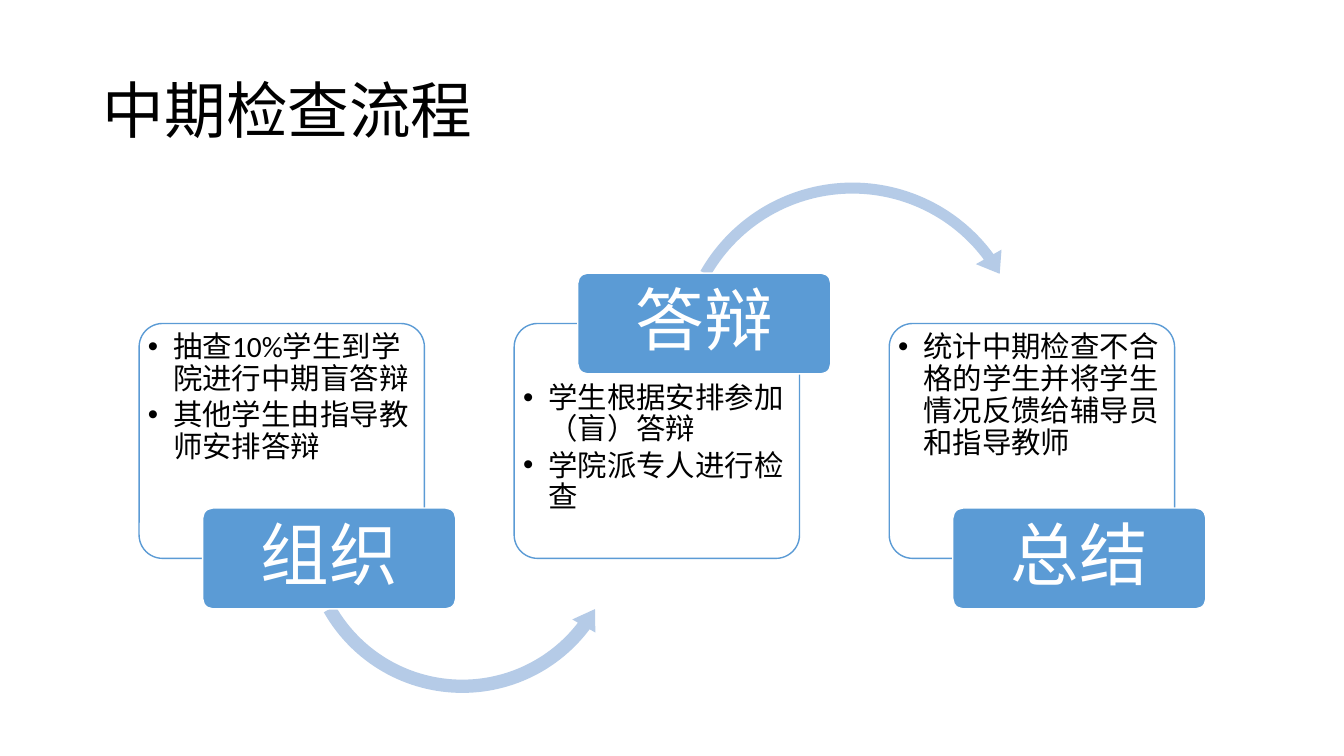
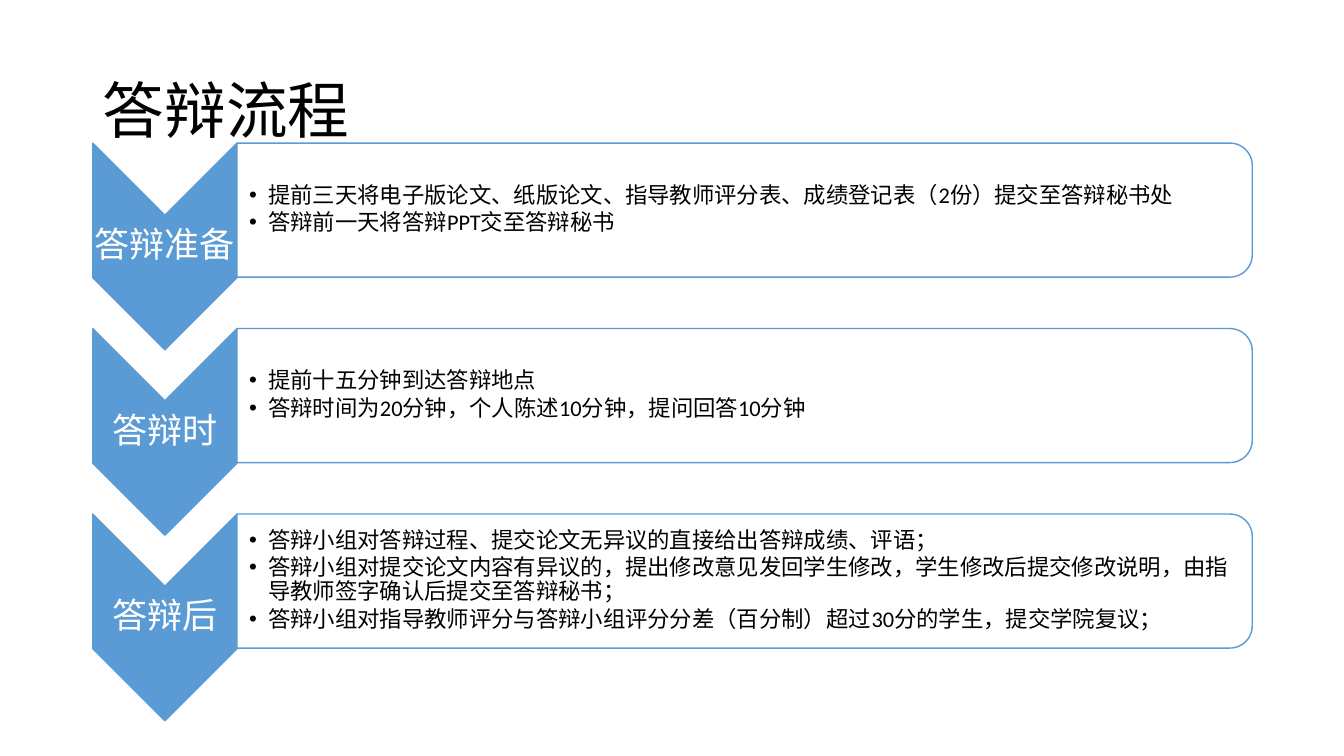
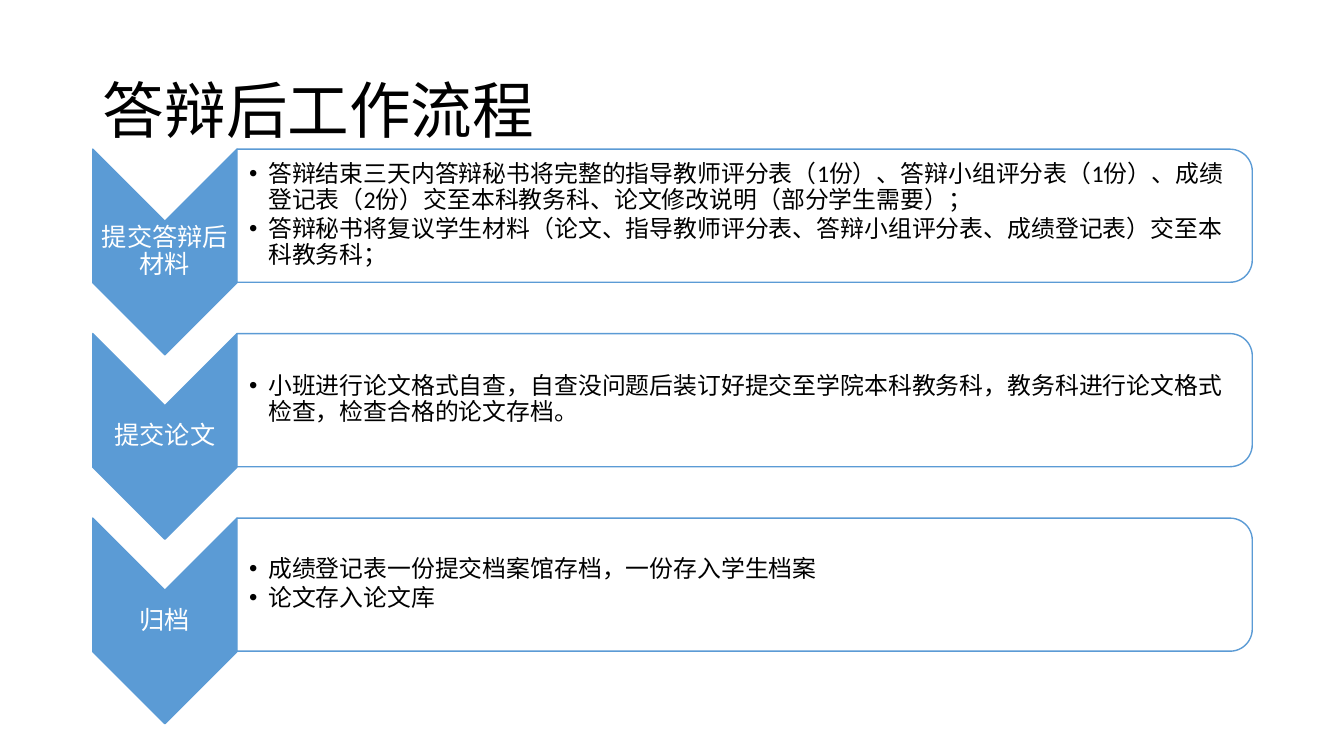
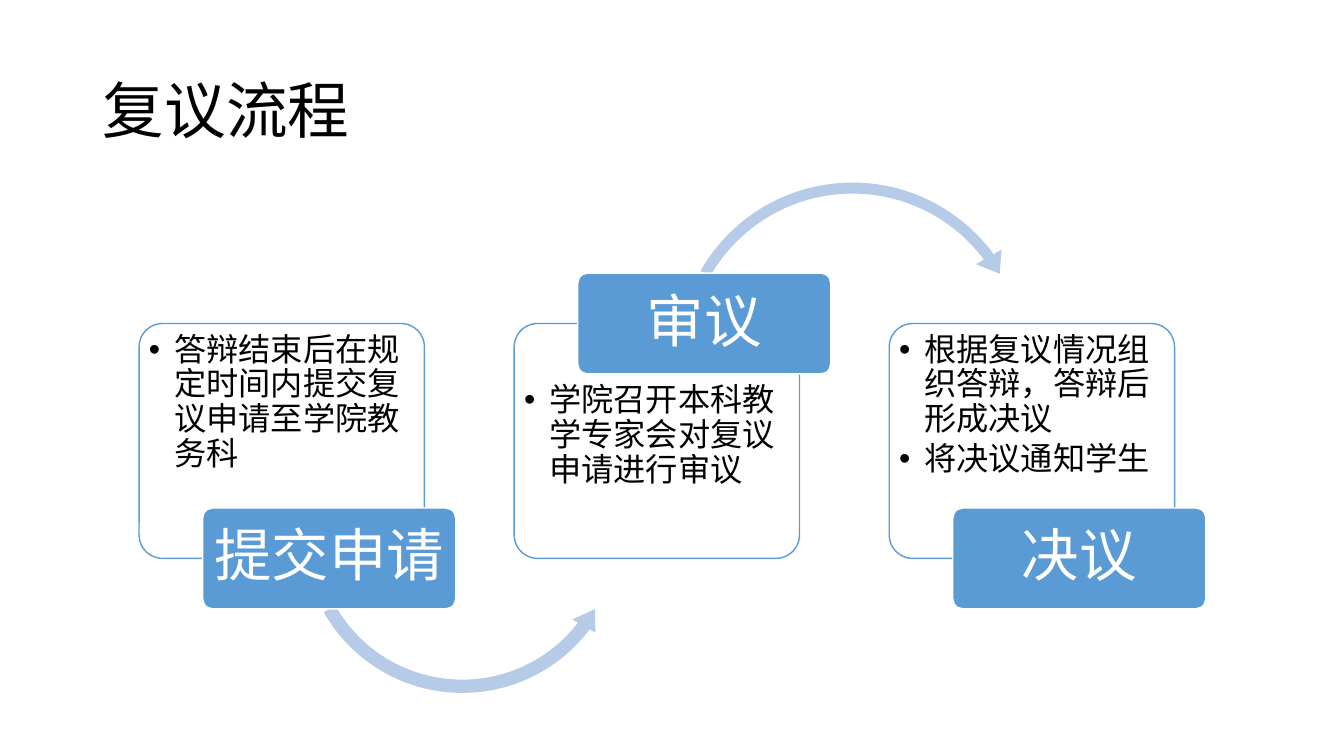
from dataclasses import dataclass

from lxml import etree
from pptx import Presentation
from pptx.dml.color import RGBColor
from pptx.enum import lang, shapes, text
from pptx.oxml.ns import qn
from pptx.presentation import Presentation as Deck
from pptx.shapes.autoshape import Shape
from pptx.slide import Slide, SlideLayout
from pptx.text.text import TextFrame, _Paragraph as Paragraph
from pptx.util import Inches, Pt


@dataclass(frozen=True)
class Theme:
    font: str = "Calibri"
    ink: RGBColor = RGBColor(0, 0, 0)
    paper: RGBColor = RGBColor(255, 255, 255)
    accent: RGBColor = RGBColor(0x5B, 0x9B, 0xD5)
    arrow: RGBColor = RGBColor(0xB5, 0xCB, 0xE7)
    title_size: int = 44
    line_width: int = 1
    line_spacing: float = 0.9
    label_gap: float = 0.35  # space after, as a share of the type size
    list_gap: float = 0.15


@dataclass(frozen=True)
class Step:
    label: str
    points: tuple[str, ...]


@dataclass(frozen=True)
class CardFlow:
    """Three cards whose labels alternate between bottom and top."""
    title: str
    label_size: int
    list_size: int
    inset: float
    steps: tuple[Step, ...]


@dataclass(frozen=True)
class ChevronList:
    """Rows with a downward chevron and a panel of points."""
    title: str
    label_size: int
    list_size: int
    top: float
    pitch: float
    chevron_height: float
    panel_height: float
    steps: tuple[Step, ...]


@dataclass(frozen=True)
class CurvedArrow:
    kind: shapes.MSO_SHAPE
    left: float
    top: float
    size: float
    adjustments: tuple[float, ...]


THEME = Theme()
TITLE_BOX = (0.92, 0.4, 11.5, 1.45)

CARD_LEFT, CARD_TOP, CARD_PITCH = 1.38, 3.21, 3.72
CARD_WIDTH, CARD_HEIGHT = 2.83, 2.33
CHIP_WIDTH, CHIP_HEIGHT, CHIP_SHIFT = 2.51, 1.0, 0.63
CORNER = 0.1

CHEVRON_LEFT, CHEVRON_WIDTH = 0.92, 1.43
PANEL_LEFT, PANEL_WIDTH = 2.35, 10.07
LABEL_HEIGHT = 0.61

ARROWS = (
    CurvedArrow(shapes.MSO_SHAPE.LEFT_CIRCULAR_ARROW, 2.94, 3.65, 3.29,
                (0.04, 4.57, 22.33, 90.25, 0.04)),
    CurvedArrow(shapes.MSO_SHAPE.CIRCULAR_ARROW, 6.63, 1.72, 3.65,
                (0.03, 4.09, 194.16, 125.76, 0.04)),
)

PAGES = (
    CardFlow("中期检查流程", 49, 21, 0.04, (
        Step("组织", ("抽查10%学生到学院进行中期盲答辩", "其他学生由指导教师安排答辩")),
        Step("答辩", ("学生根据安排参加（盲）答辩", "学院派专人进行检查")),
        Step("总结", ("统计中期检查不合格的学生并将学生情况反馈给辅导员和指导教师",)),
    )),
    ChevronList("答辩流程", 25, 16, 1.42, 1.84, 2.05, 1.33, (
        Step("答辩准备", (
            "提前三天将电子版论文、纸版论文、指导教师评分表、成绩登记表（2份）提交至答辩秘书处",
            "答辩前一天将答辩PPT交至答辩秘书")),
        Step("答辩时", (
            "提前十五分钟到达答辩地点",
            "答辩时间为20分钟，个人陈述10分钟，提问回答10分钟")),
        Step("答辩后", (
            "答辩小组对答辩过程、提交论文无异议的直接给出答辩成绩、评语；",
            "答辩小组对提交论文内容有异议的，提出修改意见发回学生修改，"
            "学生修改后提交修改说明，由指导教师签字确认后提交至答辩秘书；",
            "答辩小组对指导教师评分与答辩小组评分分差（百分制）超过30分的学生，提交学院复议；")),
    )),
    ChevronList("答辩后工作流程", 18, 17, 1.48, 1.83, 2.04, 1.32, (
        Step("提交答辩后材料", (
            "答辩结束三天内答辩秘书将完整的指导教师评分表（1份）、答辩小组评分表（1份）、"
            "成绩登记表（2份）交至本科教务科、论文修改说明（部分学生需要）；",
            "答辩秘书将复议学生材料（论文、指导教师评分表、答辩小组评分表、成绩登记表）"
            "交至本科教务科；")),
        Step("提交论文", (
            "小班进行论文格式自查，自查没问题后装订好提交至学院本科教务科，"
            "教务科进行论文格式检查，检查合格的论文存档。",)),
        Step("归档", ("成绩登记表一份提交档案馆存档，一份存入学生档案", "论文存入论文库")),
    )),
    CardFlow("复议流程", 41, 23, 0.05, (
        Step("提交申请", ("答辩结束后在规定时间内提交复议申请至学院教务科",)),
        Step("审议", ("学院召开本科教学专家会对复议申请进行审议",)),
        Step("决议", ("根据复议情况组织答辩，答辩后形成决议", "将决议通知学生")),
    )),
)


def format_paragraph(para: Paragraph, size: int, color: RGBColor,
                     align: text.PP_ALIGN, gap: float = 0) -> None:
    para.alignment = align
    para.line_spacing = THEME.line_spacing
    para.space_before = Pt(0)
    para.space_after = Pt(round(size * gap, 2))
    for span in para.runs:
        span.font.name = THEME.font
        span.font.size = Pt(size)
        span.font.color.rgb = color
        span.font.language_id = lang.MSO_LANGUAGE_ID.SIMPLIFIED_CHINESE


def set_frame(frame: TextFrame, anchor: text.MSO_ANCHOR, left: float = 0,
              top: float = 0, right: float = 0, bottom: float = 0) -> None:
    """Set wrapping, anchor and insets."""
    frame.word_wrap = True
    frame.auto_size = text.MSO_AUTO_SIZE.NONE
    frame.vertical_anchor = anchor
    frame.margin_left, frame.margin_top = Inches(left), Inches(top)
    frame.margin_right, frame.margin_bottom = Inches(right), Inches(bottom)


def write_label(frame: TextFrame, label: str, size: int) -> None:
    frame.text = label
    format_paragraph(frame.paragraphs[0], size, THEME.paper,
                     text.PP_ALIGN.CENTER, THEME.label_gap)


def write_list(frame: TextFrame, points: tuple[str, ...], size: int, indent: float) -> None:
    frame.text = "\n".join(points)
    for para in frame.paragraphs:
        para.level = 1
        format_paragraph(para, size, THEME.ink, text.PP_ALIGN.LEFT, THEME.list_gap)
        properties = para._p.get_or_add_pPr()
        properties.set("marL", str(Inches(indent)))
        properties.set("indent", str(-Inches(indent)))
        etree.SubElement(properties, qn("a:buFont"), typeface="Arial")
        etree.SubElement(properties, qn("a:buChar"), char="•")


def add_shape(page: Slide, kind: shapes.MSO_SHAPE, left: float, top: float,
              width: float, height: float, fill: RGBColor,
              line: RGBColor | None = None) -> Shape:
    shape = page.shapes.add_shape(kind, Inches(left), Inches(top),
                                  Inches(width), Inches(height))
    shape.shadow.inherit = False
    shape.fill.solid()
    shape.fill.fore_color.rgb = fill
    if line is None:
        shape.line.fill.background()
    else:
        shape.line.color.rgb = line
        shape.line.width = Pt(THEME.line_width)
    return shape


def add_turned_shape(page: Slide, kind: shapes.MSO_SHAPE, left: float, top: float,
                     width: float, height: float, fill: RGBColor) -> Shape:
    """Add a shape turned a quarter clockwise that covers the given area."""
    shift = (width - height) / 2
    shape = add_shape(page, kind, left + shift, top - shift, height, width,
                      fill, THEME.accent)
    shape.rotation = 90
    return shape


def add_text_box(page: Slide, left: float, top: float, width: float,
                 height: float) -> TextFrame:
    box = page.shapes.add_textbox(Inches(left), Inches(top), Inches(width), Inches(height))
    return box.text_frame


def make_translucent(shape: Shape) -> None:
    color = shape.element.spPr.find(qn("a:solidFill"))[0]
    etree.SubElement(color, qn("a:alpha"), val="90000")


def add_arrow(page: Slide, arrow: CurvedArrow) -> None:
    shape = add_shape(page, arrow.kind, arrow.left, arrow.top, arrow.size,
                      arrow.size, THEME.arrow)
    for index, value in enumerate(arrow.adjustments):
        shape.adjustments[index] = value


def draw_card_flow(page: Slide, flow: CardFlow) -> None:
    for index, step in enumerate(flow.steps):
        left = CARD_LEFT + index * CARD_PITCH
        label_on_top = index % 2 == 1

        card = add_shape(page, shapes.MSO_SHAPE.ROUNDED_RECTANGLE, left, CARD_TOP,
                         CARD_WIDTH, CARD_HEIGHT, THEME.paper, THEME.accent)
        make_translucent(card)
        card.adjustments[0] = CORNER
        side = flow.inset - 0.02
        set_frame(card.text_frame, text.MSO_ANCHOR.TOP, side,
                  side + CHIP_HEIGHT / 2 * label_on_top, side)
        write_list(card.text_frame, step.points, flow.list_size, 0.25)

        if index < len(ARROWS):
            add_arrow(page, ARROWS[index])

        edge = CARD_TOP if label_on_top else CARD_TOP + CARD_HEIGHT
        chip = add_shape(page, shapes.MSO_SHAPE.ROUNDED_RECTANGLE, left + CHIP_SHIFT,
                         edge - CHIP_HEIGHT / 2, CHIP_WIDTH, CHIP_HEIGHT,
                         THEME.accent, THEME.paper)
        chip.adjustments[0] = CORNER
        set_frame(chip.text_frame, text.MSO_ANCHOR.MIDDLE, 0.05, 0.07, 0.05, 0.07)
        write_label(chip.text_frame, step.label, flow.label_size)


def draw_chevron_list(page: Slide, rows: ChevronList) -> None:
    for index, step in enumerate(rows.steps):
        top = rows.top + index * rows.pitch

        add_turned_shape(page, shapes.MSO_SHAPE.CHEVRON, CHEVRON_LEFT, top,
                         CHEVRON_WIDTH, rows.chevron_height, THEME.accent)
        label = add_text_box(page, CHEVRON_LEFT,
                             top + (rows.chevron_height - LABEL_HEIGHT) / 2,
                             CHEVRON_WIDTH, LABEL_HEIGHT)
        set_frame(label, text.MSO_ANCHOR.MIDDLE, 0.01, 0.01, 0.01, 0.01)
        write_label(label, step.label, rows.label_size)

        panel = add_turned_shape(page, shapes.MSO_SHAPE.ROUND_2_SAME_RECTANGLE,
                                 PANEL_LEFT, top, PANEL_WIDTH, rows.panel_height,
                                 THEME.paper)
        make_translucent(panel)
        points = add_text_box(page, PANEL_LEFT, top + 0.06, PANEL_WIDTH - 0.06,
                              rows.panel_height - 0.13)
        set_frame(points, text.MSO_ANCHOR.MIDDLE, 0.12, 0.01, 0.01, 0.01)
        write_list(points, step.points, rows.list_size, 0.19)


def prepare_layout(deck: Deck) -> SlideLayout:
    """Place the title once, on the title-only layout."""
    layout = deck.slide_layouts.get_by_name("Title Only")
    title = layout.placeholders[0]
    title.left, title.top, title.width, title.height = map(Inches, TITLE_BOX)
    return layout


def add_page(deck: Deck, layout: SlideLayout, title: str) -> Slide:
    page = deck.slides.add_slide(layout)
    frame = page.shapes.title.text_frame
    frame.text = title
    set_frame(frame, text.MSO_ANCHOR.MIDDLE, 0.1, 0.05, 0.1, 0.05)
    format_paragraph(frame.paragraphs[0], THEME.title_size, THEME.ink, text.PP_ALIGN.LEFT)
    return page


def main() -> None:
    deck = Presentation()
    deck.slide_width, deck.slide_height = Inches(13.33), Inches(7.5)
    layout = prepare_layout(deck)
    for content in PAGES:
        page = add_page(deck, layout, content.title)
        if isinstance(content, CardFlow):
            draw_card_flow(page, content)
        else:
            draw_chevron_list(page, content)
    deck.save("out.pptx")


if __name__ == "__main__":
    main()
